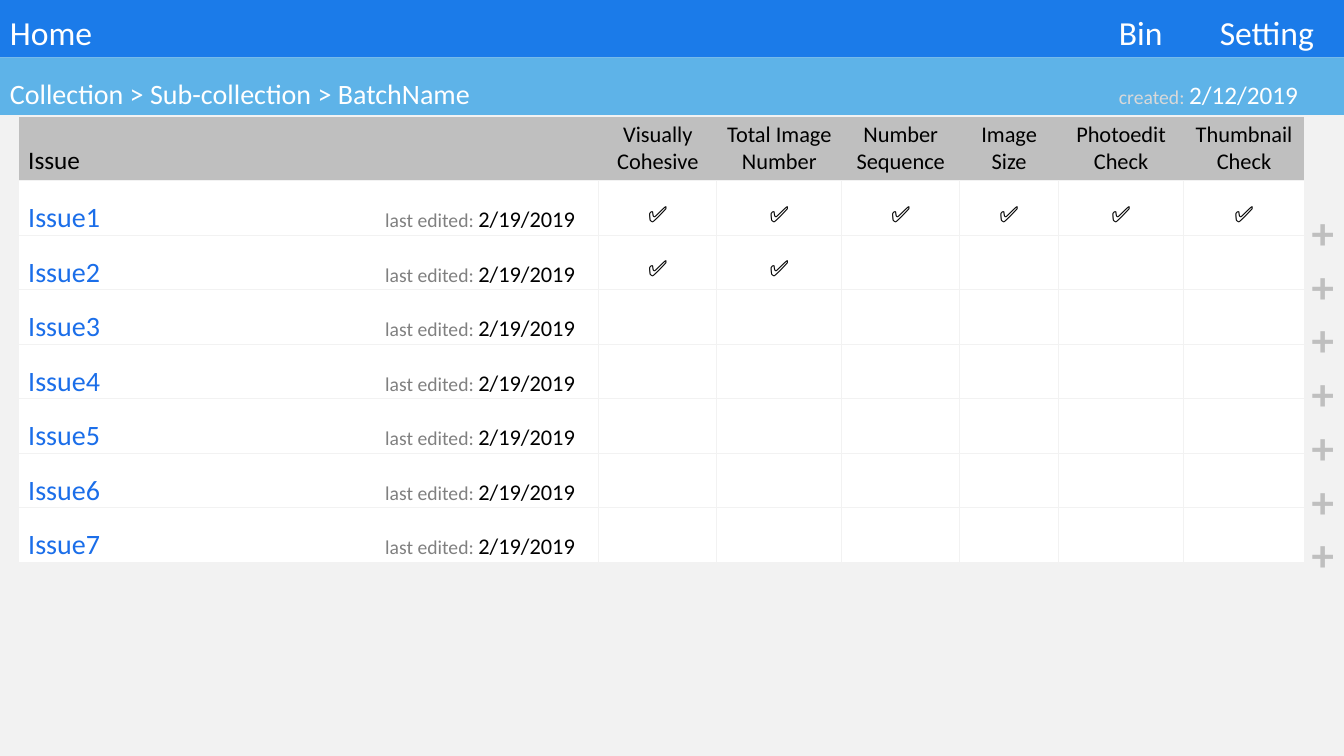
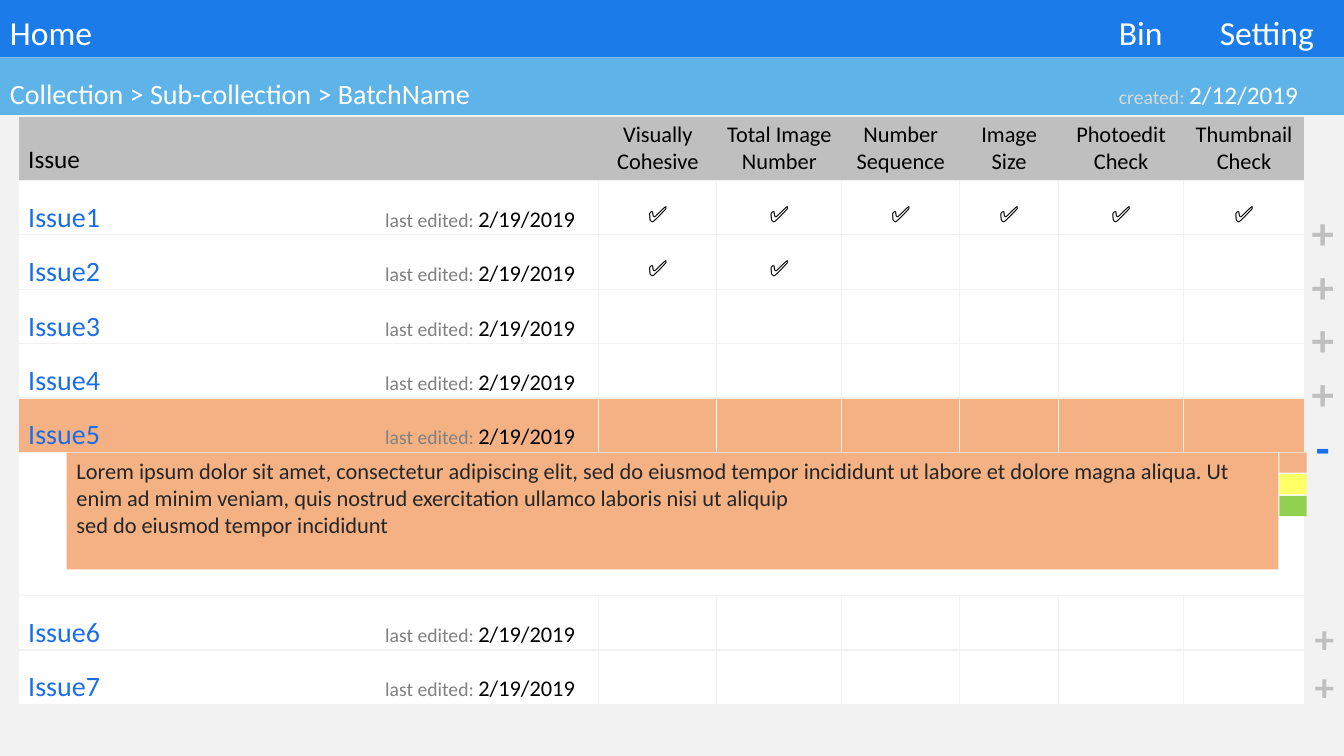
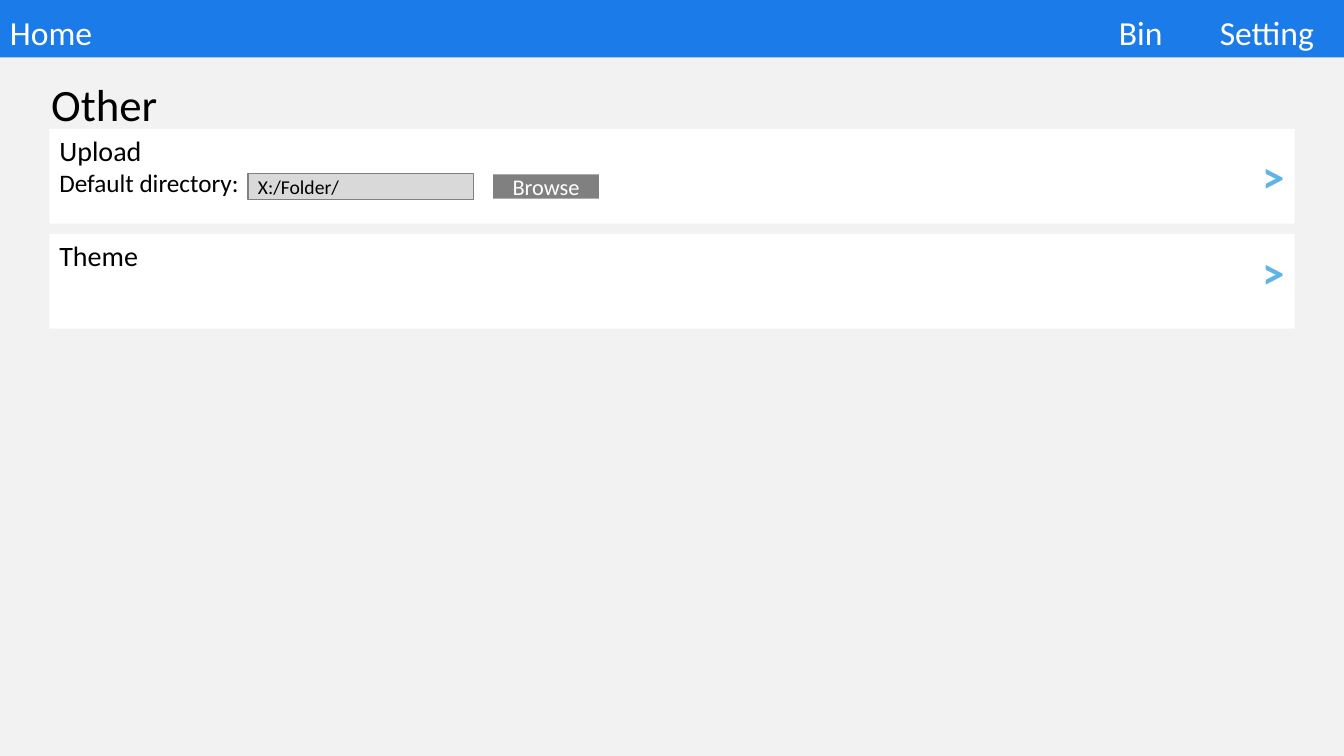
import pptx
import pptx.util
import pptx.dml.color
import pptx.enum.shapes
import pptx.enum.text
import pptx.oxml
import pptx.oxml.ns

Inches = pptx.util.Inches
Pt = pptx.util.Pt
RGB = pptx.dml.color.RGBColor
ALIGN = pptx.enum.text.PP_ALIGN
ANCHOR = pptx.enum.text.MSO_ANCHOR
RECT = pptx.enum.shapes.MSO_SHAPE.RECTANGLE

BLUE = RGB(0x1B, 0x7B, 0xE9)
LINK = RGB(0x1B, 0x6E, 0xE9)
SKY = RGB(0x5E, 0xB3, 0xE8)
WHITE = RGB(0xFF, 0xFF, 0xFF)
BLACK = RGB(0, 0, 0)
INK = RGB(0x26, 0x26, 0x26)
PAGE = RGB(0xF2, 0xF2, 0xF2)
PALE = RGB(0xD9, 0xD9, 0xD9)
SILVER = RGB(0xBF, 0xBF, 0xBF)
GREY = RGB(0x80, 0x80, 0x80)
ORANGE = RGB(0xF4, 0xB1, 0x83)
YELLOW = RGB(0xFF, 0xFF, 0x66)
GREEN = RGB(0x92, 0xD0, 0x50)
NO_GRID = "{2D5ABB26-0587-4C30-8999-92F81FD0307C}"


def write(p, runs, align=ALIGN.LEFT, tabs=(), font="Calibri", bold=False):
    """Fill a paragraph with (text, size, colour) runs and left tab stops."""
    p.alignment = align
    if tabs:
        stops = "".join(f'<a:tab pos="{Inches(t)}" algn="l"/>' for t in tabs)
        p._p.get_or_add_pPr().append(pptx.oxml.parse_xml(
            f'<a:tabLst {pptx.oxml.ns.nsdecls("a")}>{stops}</a:tabLst>'))
    p.font.name, p.font.bold = font, bold
    if len(runs) == 1:
        p.font.size, p.font.color.rgb = Pt(runs[0][1]), runs[0][2]
        p.add_run().text = runs[0][0]
        return
    for text, size, color in runs:
        r = p.add_run()
        r.text, r.font.size, r.font.color.rgb = text, Pt(size), color


def box(s, x, y, w, h, fill=None, lines=(), anchor=ANCHOR.TOP, edge=None, **style):
    """Add a filled rectangle, or a text box without fill; one run list per line."""
    at = Inches(x), Inches(y), Inches(w), Inches(h)
    if fill is None:
        sp = s.shapes.add_textbox(*at)
    else:
        sp = s.shapes.add_shape(RECT, *at)
        sp.shadow.inherit = False
        sp.fill.solid()
        sp.fill.fore_color.rgb = fill
        if edge is None:
            sp.line.fill.background()
        else:
            sp.line.color.rgb, sp.line.width = edge, Pt(1)
    tf = sp.text_frame
    tf.word_wrap = fill is not None
    tf.vertical_anchor = anchor
    for i, runs in enumerate(lines):
        write(tf.add_paragraph() if i else tf.paragraphs[0], runs, **style)
    return sp


# Page and top bar shared by all slides
prs = pptx.Presentation()
prs.slide_width, prs.slide_height = Inches(13.33), Inches(7.5)
slides = []
for n in range(3):
    s = prs.slides.add_slide(prs.slide_layouts[6])
    s.background.fill.solid()
    s.background.fill.fore_color.rgb = PAGE
    box(s, 0, 0, 13.33, 0.57, BLUE, [[("Home\tBin\tSetting", 24, WHITE)]],
        ANCHOR.BOTTOM, tabs=(11, 12))
    slides.append(s)
list_slide, detail_slide, settings_slide = slides

# Issue table on the list slide and the detail slide
COLS = [5.76, 1.17, 1.24, 1.17, 0.98, 1.24, 1.2]
HEADS = ["Issue", "Visually Cohesive", "Total Image Number", "Number Sequence",
         "Image Size", "Photoedit\nCheck", "Thumbnail Check"]
CHECKS = {"Issue1": 6, "Issue2": 2}
issues = [f"Issue{n}" for n in range(1, 8)]

for s, open_issue in (list_slide, None), (detail_slide, "Issue5"):
    names = [None] + issues
    heights = [0.64] + [0.54] * len(issues)
    if open_issue:
        detail_row = names.index(open_issue) + 1
        names.insert(detail_row, "detail")
        heights.insert(detail_row, 1.42)

    table = s.shapes.add_table(len(names), len(COLS), Inches(0.18), Inches(1.15),
                               Inches(sum(COLS)), Inches(sum(heights))).table
    table.first_row = table.horz_banding = False
    table._tbl.tblPr.find(pptx.oxml.ns.qn("a:tableStyleId")).text = NO_GRID
    for col, width in zip(table.columns, COLS):
        col.width = Inches(width)

    for i, (name, height) in enumerate(zip(names, heights)):
        table.rows[i].height = Inches(height)
        plain = name in (None, "detail")
        for j in range(len(COLS)):
            cell = table.cell(i, j)
            # Header and detail rows have no inner vertical lines
            sides = ["L"] * (not plain or j == 0)
            sides += ["R"] * (not plain or j == len(COLS) - 1) + ["T", "B"]
            for side in sides:
                cell._tc.get_or_add_tcPr().append(pptx.oxml.parse_xml(
                    f'<a:ln{side} {pptx.oxml.ns.nsdecls("a")} w="{Pt(1)}"><a:solidFill>'
                    f'<a:srgbClr val="{PAGE}"/></a:solidFill></a:ln{side}>'))
            cell.fill.solid()
            cell.fill.fore_color.rgb = (SILVER if name is None else ORANGE
                                        if name == open_issue else WHITE)
            tf = cell.text_frame
            p = tf.paragraphs[0]
            if name is None:
                if j == 0:
                    cell.vertical_anchor = ANCHOR.BOTTOM
                for k, line in enumerate(HEADS[j].split("\n")):
                    write(tf.add_paragraph() if k else p,
                          [(line, 16 if j else 18, BLACK)],
                          ALIGN.CENTER if j else ALIGN.LEFT)
                continue
            if name == "detail":
                continue
            cell.margin_top, cell.margin_bottom = Inches(0.2), 0
            if j == 0:
                write(p, [(name + "\t", 20, LINK), ("last edited: ", 14, GREY),
                          ("2/19/2019", 16, BLACK)], tabs=(3.54,))
            elif j <= CHECKS.get(name, 0):
                write(p, [("\u2705", 16, BLACK)], ALIGN.CENTER, font="Cabin")

    # Breadcrumb bar
    box(s, 0, 0.57, 13.33, 0.57, SKY,
        [[("Collection > Sub-collection > BatchName\t", 20, WHITE),
          ("created: ", 14, PALE), ("2/12/2019", 18, WHITE)]],
        ANCHOR.BOTTOM, tabs=(11,))

# Expand and collapse marks
plus = [("+", 32, SILVER)]
box(list_slide, 12.91, 1.98, 0.43, 4.27, lines=[plus] * 7, bold=True)
marks = box(detail_slide, 12.91, 1.98, 0.43, 4.27, lines=[plus] * 4, bold=True)
write(marks.text_frame.add_paragraph(), [("-", 32, LINK)], ALIGN.CENTER, bold=True)
box(detail_slide, 12.94, 6.05, 0.39, 1.04, lines=[[("+", 28, SILVER)]] * 2, bold=True)

# Open note with its colour choices
box(detail_slide, 0.66, 4.49, 12.02, 1.16, ORANGE, [
    [("Lorem ipsum dolor sit amet, consectetur adipiscing elit, sed do eiusmod "
      "tempor incididunt ut labore et dolore magna aliqua. Ut enim ad minim veniam, "
      "quis nostrud exercitation ullamco laboris nisi ut aliquip", 16, INK)],
    [("sed do eiusmod tempor incididunt", 16, INK)]])
for i, color in enumerate([ORANGE, YELLOW, GREEN]):
    box(detail_slide, 12.69, 4.49 + 0.215 * i, 0.27, 0.2, color)

# Settings
s = settings_slide
panels = [[[("Upload", 20, BLACK)], [("Default directory:", 18, BLACK)]],
          [[("Theme", 20, BLACK)]]]
for i, lines in enumerate(panels):
    box(s, 0.49, 1.28 + 1.04 * i, 12.35, 0.94, WHITE, lines)
    box(s, 12.42, 1.43 + 0.95 * i, 0.43, 0.64, lines=[[(">", 32, SKY)]], bold=True)
box(s, 0.41, 0.71, 1.5, 0.64, lines=[[("Other", 32, BLACK)]])
box(s, 2.46, 1.72, 2.24, 0.26, PALE, [[("X:/Folder/", 14, BLACK)]],
    ANCHOR.MIDDLE, edge=GREY)
box(s, 4.89, 1.73, 1.05, 0.24, GREY, [[("Browse", 16, WHITE)]],
    ANCHOR.MIDDLE, align=ALIGN.CENTER)

prs.save("out.pptx")
